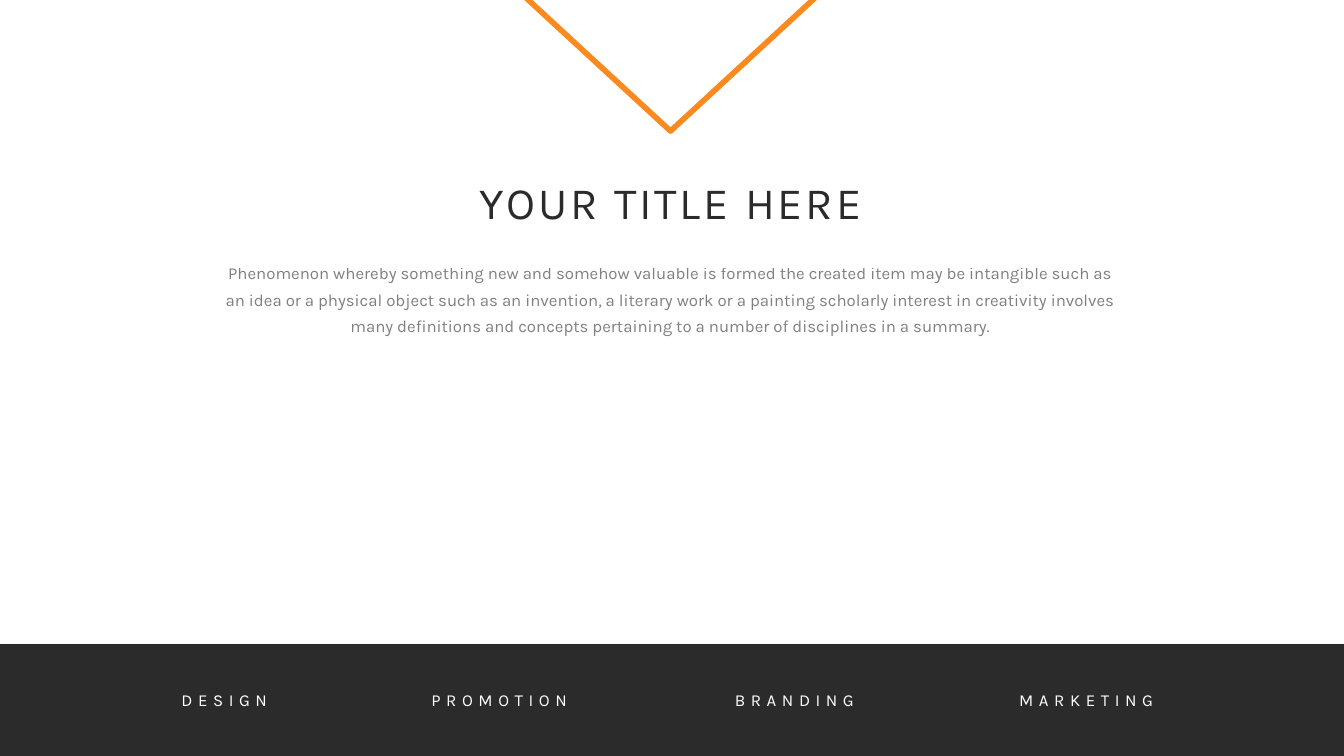
from lxml import etree
from pptx import Presentation
from pptx.dml.color import RGBColor
from pptx.enum.shapes import MSO_SHAPE
from pptx.enum.text import MSO_ANCHOR, MSO_AUTO_SIZE, PP_ALIGN
from pptx.oxml.ns import qn
from pptx.util import Inches, Pt

RECTANGLE, DIAMOND = MSO_SHAPE.RECTANGLE, MSO_SHAPE.DIAMOND
CENTER, LEFT = PP_ALIGN.CENTER, PP_ALIGN.LEFT
TOP = MSO_ANCHOR.TOP
NO_FIT, GROW = MSO_AUTO_SIZE.NONE, MSO_AUTO_SIZE.SHAPE_TO_FIT_TEXT
FONT, DARK, ORANGE, WHITE = "Karla", "2B2B2B", "FA891E", "FFFFFF"
WIDTH, HEIGHT = 13.33, 7.5
FOOTER_TOP = 6.39


def color(hex_value):
    return RGBColor.from_string(hex_value)


def write(box, text, size, hex_value, align, spacing=0):
    """Put one formatted paragraph in a box; spacing is in points."""
    paragraph = box.text_frame.paragraphs[0]
    paragraph.text = text
    paragraph.alignment = align
    paragraph.font.name = FONT
    paragraph.font.size = Pt(size)
    paragraph.font.color.rgb = color(hex_value)
    if spacing:
        paragraph.runs[0].font._element.set("spc", str(spacing * 100))
    return paragraph


deck = Presentation()
deck.slide_width, deck.slide_height = Inches(WIDTH), Inches(HEIGHT)
slide = deck.slides.add_slide(deck.slide_layouts[1])
title, summary = slide.placeholders

# Title and summary
for box, left, top, width, height in (
    (title, 3.88, 1.68, 5.55, 0.64),
    (summary, 2.09, 2.5, 9.12, 0.89),
):
    box.left, box.top = Inches(left), Inches(top)
    box.width, box.height = Inches(width), Inches(height)
    box.text_frame.vertical_anchor = TOP
    box.text_frame.auto_size = NO_FIT
    box.text_frame.word_wrap = True

write(title, "YOUR TITLE HERE", 32, DARK, CENTER, spacing=2)
summary_line = write(
    summary,
    "Phenomenon whereby something new and somehow valuable is formed the "
    "created item may be intangible such as an idea or a physical object "
    "such as an invention, a literary work or a painting scholarly interest "
    "in creativity involves many definitions and concepts pertaining to a "
    "number of disciplines in a summary.",
    12, DARK, CENTER,
)
summary_line.line_spacing = 1.3
summary_line.space_before = Pt(0)

# Summary without bullet, in 60% opaque dark
properties = summary_line._p.get_or_add_pPr()
properties.set("marL", "0")
properties.set("indent", "0")
bullet = etree.Element(qn("a:buNone"))
properties.find(qn("a:defRPr")).addprevious(bullet)
summary_color = properties.find(".//" + qn("a:srgbClr"))
etree.SubElement(summary_color, qn("a:alpha"), val="60000")

# Diamond hanging from the top edge
diamond = slide.shapes.add_shape(
    DIAMOND, Inches(4.09), Inches(-3.42), Inches(5.12), Inches(4.72))
diamond.shadow.inherit = False
diamond.fill.background()
diamond.line.color.rgb = color(ORANGE)
diamond.line.width = Pt(4)

# Footer band with a soft shadow
footer = slide.shapes.add_shape(
    RECTANGLE, 0, Inches(FOOTER_TOP), Inches(WIDTH), Inches(HEIGHT - FOOTER_TOP))
footer.shadow.inherit = False
footer.fill.solid()
footer.fill.fore_color.rgb = color(DARK)
footer.line.fill.background()
effects = footer._element.spPr.find(qn("a:effectLst"))
shadow = etree.SubElement(
    effects, qn("a:outerShdw"), blurRad=str(Pt(4)), dist=str(Pt(3)),
    dir=str(69 * 60000), rotWithShape="0")
shadow_color = etree.SubElement(shadow, qn("a:srgbClr"), val="000000")
etree.SubElement(shadow_color, qn("a:alpha"), val="69000")

# Footer topics
for topic, left, width, align in (
    ("DESIGN", 1.66, 1.13, CENTER),
    ("PROMOTION", 4.18, 1.68, LEFT),
    ("BRANDING", 7.19, 1.49, LEFT),
    ("MARKETING", 10.01, 1.66, LEFT),
):
    label = slide.shapes.add_textbox(
        Inches(left), Inches(6.79), Inches(width), Inches(0.3))
    label.text_frame.word_wrap = False
    label.text_frame.auto_size = GROW
    write(label, topic, 12, WHITE, align, spacing=4)

deck.save("out.pptx")
